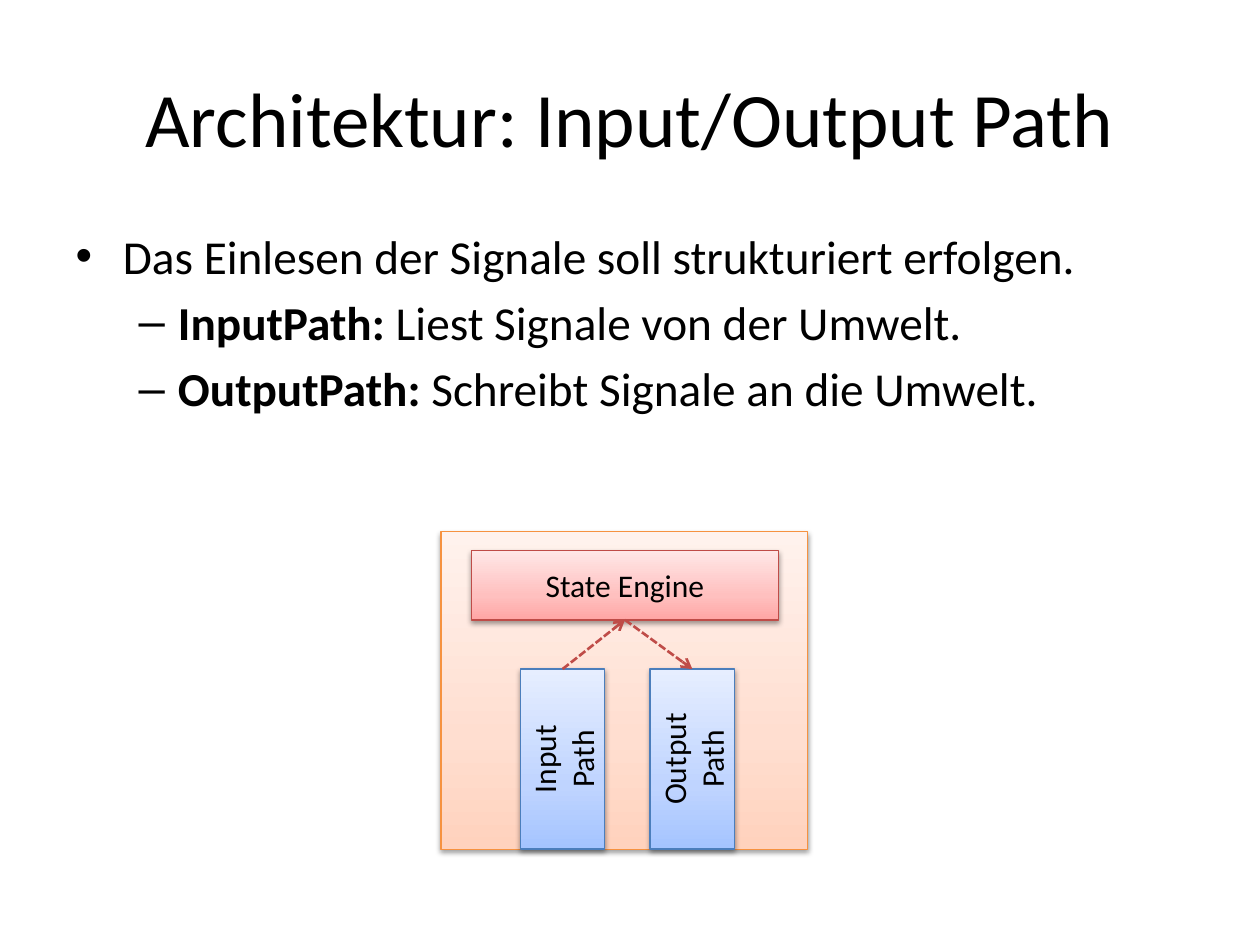
from dataclasses import dataclass

from lxml.etree import SubElement
from pptx import Presentation
from pptx.dml.color import RGBColor
from pptx.enum.dml import MSO_LINE as Dash
from pptx.enum.shapes import MSO_CONNECTOR as Link, MSO_SHAPE as Form
from pptx.enum.text import MSO_ANCHOR as Anchor, PP_ALIGN as Align
from pptx.oxml import parse_xml
from pptx.oxml.ns import nsdecls, qn
from pptx.util import Inches, Pt

RED = "BF4C48"
TOP, BOTTOM = 0, 2


@dataclass
class Box:
    left: float
    top: float
    width: float
    height: float
    stops: tuple[str, str, str]
    edge: str
    lines: tuple[str, ...] = ()
    upright: bool = False


def paint(target, color: str) -> None:
    target.rgb = RGBColor.from_string(color)


def style(font, size: float, **extra) -> None:
    values = {"name": "Calibri", "size": Pt(size), **extra}
    for name, value in values.items():
        setattr(font, name, value)
    paint(font.color, "000000")


def place(shape, left: float, top: float, width: float, height: float) -> None:
    spots = {"left": left, "top": top, "width": width, "height": height}
    for name, value in spots.items():
        setattr(shape, name, Inches(value))


def shade(shape, stops: tuple[str, str, str]) -> None:
    """Fill from bottom to top and add a soft shadow below."""
    marks = "".join(
        f'<a:gs pos="{pos * 1000}"><a:srgbClr val="{color}"/></a:gs>'
        for pos, color in zip((0, 35, 100), stops))
    props = shape._element.spPr
    props.insert(2, parse_xml(
        f'<a:gradFill {nsdecls("a")} rotWithShape="1"><a:gsLst>{marks}</a:gsLst>'
        '<a:lin ang="16200000" scaled="0"/></a:gradFill>'))
    props.append(parse_xml(
        f'<a:effectLst {nsdecls("a")}><a:outerShdw blurRad="{Pt(3.1)}" '
        f'dist="{Pt(1.6)}" dir="5400000" rotWithShape="0"><a:srgbClr val="000000">'
        '<a:alpha val="38000"/></a:srgbClr></a:outerShdw></a:effectLst>'))


def draw(slide, box: Box):
    shape = slide.shapes.add_shape(Form.RECTANGLE, 0, 0, 0, 0)
    place(shape, box.left, box.top, box.width, box.height)
    paint(shape.line.color, box.edge)
    shape.line.width = Pt(0.75)
    shade(shape, box.stops)
    frame = shape.text_frame
    frame.vertical_anchor = Anchor.MIDDLE
    if box.upright:
        frame._txBody.bodyPr.set("vert", "vert270")
    if box.lines:
        frame.text = "\n".join(box.lines)
        for para in frame.paragraphs:
            para.alignment = Align.CENTER
            style(para.runs[0].font, 18)
    return shape


def join(slide, start, site: int, end, goal: int) -> None:
    """Draw a dashed arrow between two boxes."""
    arrow = slide.shapes.add_connector(Link.STRAIGHT, 0, 0, 0, 0)
    arrow.begin_connect(start, site)
    arrow.end_connect(end, goal)
    paint(arrow.line.color, RED)
    arrow.line.width = Pt(1.5)
    arrow.line.dash_style = Dash.SQUARE_DOT
    SubElement(arrow.line._get_or_add_ln(), qn("a:tailEnd"), type="arrow")
    SubElement(arrow._element.spPr, qn("a:effectLst"))


def main() -> None:
    deck = Presentation()
    deck.slide_width, deck.slide_height = Inches(10), Inches(7.5)
    slide = deck.slides.add_slide(deck.slide_layouts[1])

    # Title
    title = slide.shapes.title
    place(title, 0.5, 0.3, 9, 1.25)
    title.text_frame.text = "Architektur: Input/Output Path"
    style(title.text_frame.paragraphs[0].runs[0].font, 44)

    # List: level, bold lead, plain text
    items = (
        (0, "", "Das Einlesen der Signale soll strukturiert erfolgen."),
        (1, "InputPath: ", "Liest Signale von der Umwelt."),
        (1, "OutputPath: ", "Schreibt Signale an die Umwelt."),
    )
    body = slide.placeholders[1]
    place(body, 0.5, 1.75, 9, 4.95)
    frame = body.text_frame
    for index, (level, lead, text) in enumerate(items):
        para = frame.add_paragraph() if index else frame.paragraphs[0]
        para.level = level
        for words, bold in ((lead, True), (text, False)):
            if words:
                run = para.add_run()
                run.text = words
                style(run.font, 27, bold=bold)

    # Diagram
    draw(slide, Box(3.5, 4.22, 2.91, 2.52, ("FFD2BD", "FFDED0", "FFF2ED"), "F69240"))
    source, sink = (
        draw(slide, Box(left, 5.31, 0.67, 1.43, ("A4C4FF", "BFD4FF", "E6EEFF"),
                        "4B7EBC", (name, "Path"), True))
        for left, name in ((4.13, "Input"), (5.16, "Output")))
    engine = draw(slide, Box(3.74, 4.37, 2.44, 0.55, ("FFA6A5", "FFC0BF", "FFE7E7"),
                             RED, ("State Engine",)))
    join(slide, source, TOP, engine, BOTTOM)
    join(slide, engine, BOTTOM, sink, TOP)

    deck.save("out.pptx")


if __name__ == "__main__":
    main()
